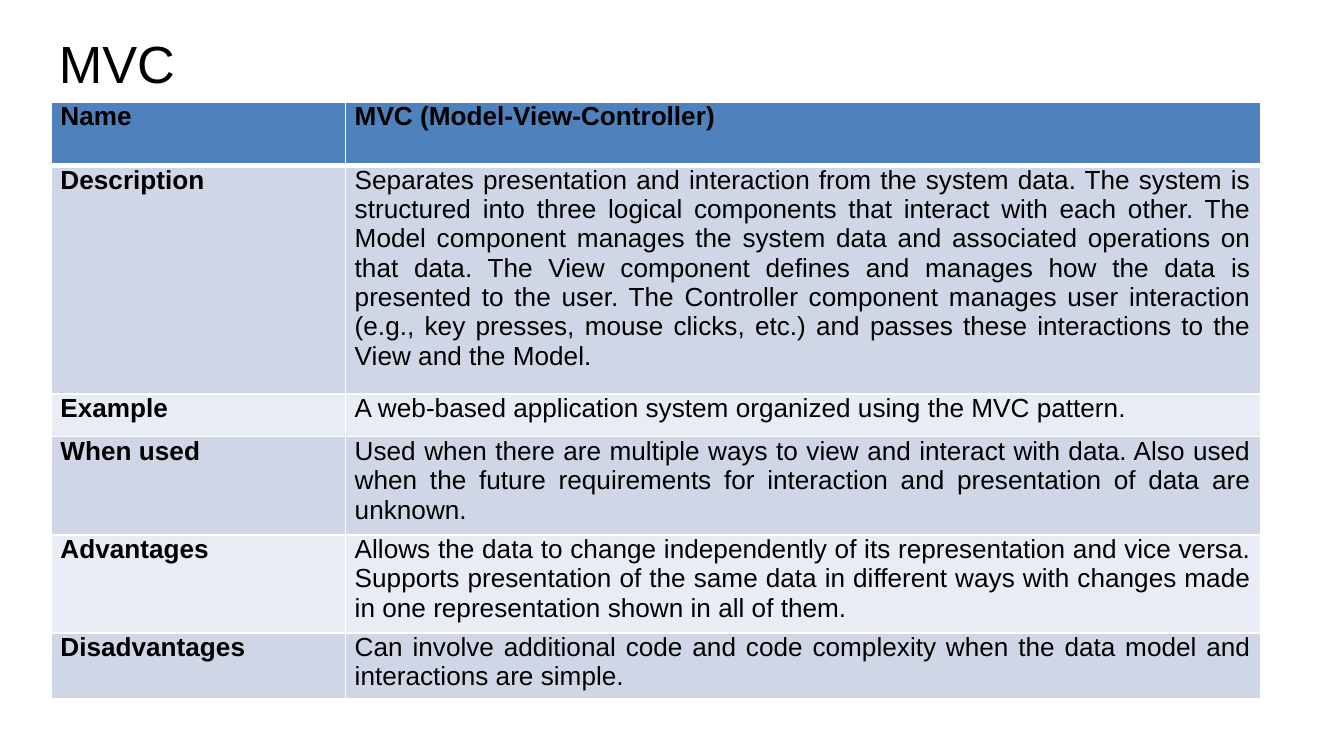
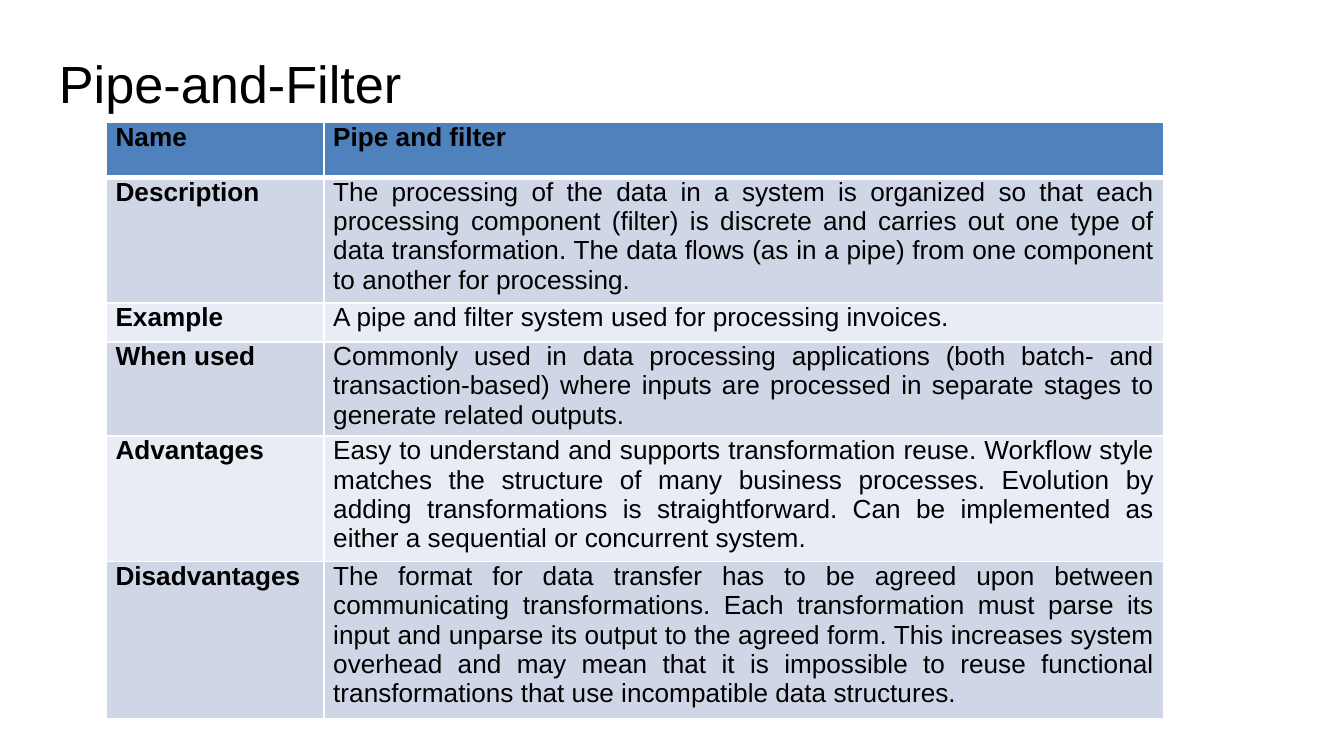
import pptx
import pptx.dml.color
import pptx.enum.text
import pptx.oxml.ns
import pptx.util
import lxml.etree

Inches = pptx.util.Inches
Pt = pptx.util.Pt
RGBColor = pptx.dml.color.RGBColor

BLACK = RGBColor(0x00, 0x00, 0x00)
WHITE = RGBColor(0xFF, 0xFF, 0xFF)
HEADER = RGBColor(0x4F, 0x81, 0xBD)
BANDS = (RGBColor(0xE8, 0xEC, 0xF4), RGBColor(0xCF, 0xD7, 0xE7))

LABELS = ("Name", "Description", "Example", "When used", "Advantages", "Disadvantages")

MVC = (
    "MVC (Model-View-Controller)",
    "Separates presentation and interaction from the system data. The system is "
    "structured into three logical components that interact with each other. The "
    "Model component manages the system data and associated operations on that data. "
    "The View component defines and manages how the data is presented to the user. "
    "The Controller component manages user interaction (e.g., key presses, mouse "
    "clicks, etc.) and passes these interactions to the View and the Model.",
    "A web-based application system organized using the MVC pattern.",
    "Used when there are multiple ways to view and interact with data. Also used when "
    "the future requirements for interaction and presentation of data are unknown. ",
    "Allows the data to change independently of its representation and vice versa. "
    "Supports presentation of the same data in different ways with changes made in "
    "one representation shown in all of them. ",
    "Can involve additional code and code complexity when the data model and "
    "interactions are simple.",
)

PIPE_AND_FILTER = (
    "Pipe and filter",
    "The processing of the data in a system is organized so that each processing "
    "component (filter) is discrete and carries out one type of data transformation. "
    "The data flows (as in a pipe) from one component to another for processing. ",
    "A pipe and filter system used for processing invoices.",
    "Commonly used in data processing applications (both batch- and "
    "transaction-based) where inputs are processed in separate stages to generate "
    "related outputs.",
    "Easy to understand and supports transformation reuse. Workflow style matches the "
    "structure of many business processes. Evolution by adding transformations is "
    "straightforward. Can be implemented as either a sequential or concurrent system.",
    "The format for data transfer has to be agreed upon between communicating "
    "transformations. Each transformation must parse its input and unparse its output "
    "to the agreed form. This increases system overhead and may mean that it is "
    "impossible to reuse functional transformations that use incompatible data "
    "structures.",
)


class Deck:
    """Holds the shared style and the current slide."""

    font = "Arial"
    title_size = 28
    body_size = 14
    frame_size = Inches(3.28)

    def __init__(self):
        self.prs = pptx.Presentation()
        # Widescreen, 16:9
        self.prs.slide_width = Inches(10)
        self.prs.slide_height = Inches(10 * 9 / 16)
        self.s = None

    def add_slide(self):
        self.s = self.prs.slides.add_slide(self.prs.slide_layouts[6])
        self.s.background.fill.solid()
        self.s.background.fill.fore_color.rgb = WHITE

    def run(self, p, text, size, bold=False):
        r = p.add_run()
        r.text = text
        r.font.name = self.font
        r.font.size = Pt(size)
        r.font.bold = bold
        r.font.color.rgb = BLACK

    def title(self, text, top):
        sp = self.s.shapes.add_textbox(Inches(0.34), Inches(top), Inches(9.32), Inches(0.63))
        tf = sp.text_frame
        tf.word_wrap = True
        tf.margin_left = tf.margin_right = tf.margin_top = Inches(0.1)
        tf.margin_bottom = Inches(0.06)
        tf.vertical_anchor = pptx.enum.text.MSO_ANCHOR.BOTTOM
        self.run(tf.paragraphs[0], text, self.title_size)

    def borders(self, cell, top, bottom):
        tc_pr = cell._tc.get_or_add_tcPr()
        qn = pptx.oxml.ns.qn
        for side, width in (("L", 1), ("R", 1), ("T", top), ("B", bottom)):
            ln = lxml.etree.SubElement(tc_pr, qn("a:ln" + side), w=str(Pt(width)))
            fill = lxml.etree.SubElement(ln, qn("a:solidFill"))
            lxml.etree.SubElement(fill, qn("a:srgbClr"), val=str(WHITE))

    def cell(self, cell, text, row, bold):
        # Borders come before the fill in the cell properties
        self.borders(cell, top=3 if row == 1 else 1, bottom=3 if row == 0 else 1)
        cell.fill.solid()
        cell.fill.fore_color.rgb = BANDS[row % 2] if row else HEADER
        cell.margin_left = cell.margin_right = Inches(0.07)
        cell.margin_top = cell.margin_bottom = 0
        p = cell.text_frame.paragraphs[0]
        p.alignment = pptx.enum.text.PP_ALIGN.JUSTIFY
        self.run(p, text, self.body_size, bold)

    def pattern_table(self, left, top, widths, heights, texts):
        frame = self.s.shapes.add_table(
            len(heights), len(widths), Inches(left), Inches(top),
            self.frame_size, self.frame_size)
        table = frame.table
        for column, width in zip(table.columns, widths):
            column.width = Inches(width)
        for row, height in zip(table.rows, heights):
            row.height = Inches(height)
        # Rows and columns set the drawn size; the frame stays nominal
        frame.width = frame.height = self.frame_size
        for i, (label, text) in enumerate(zip(LABELS, texts)):
            self.cell(table.cell(i, 0), label, i, bold=True)
            self.cell(table.cell(i, 1), text, i, bold=i == 0)


def main():
    deck = Deck()

    # Model-View-Controller
    deck.add_slide()
    deck.title("MVC", 0.13)
    deck.pattern_table(0.38, 0.76, (2.19, 6.81),
                       (0.47, 1.7, 0.32, 0.73, 0.73, 0.49), MVC)

    # Pipe and filter: rows grow with their text
    deck.add_slide()
    deck.title("Pipe-and-Filter", 0.28)
    deck.pattern_table(0.79, 0.91, (1.62, 6.25),
                       (0.41, 0.41, 0.29, 0.41, 0.41, 0.41), PIPE_AND_FILTER)

    deck.prs.save("out.pptx")


if __name__ == "__main__":
    main()
